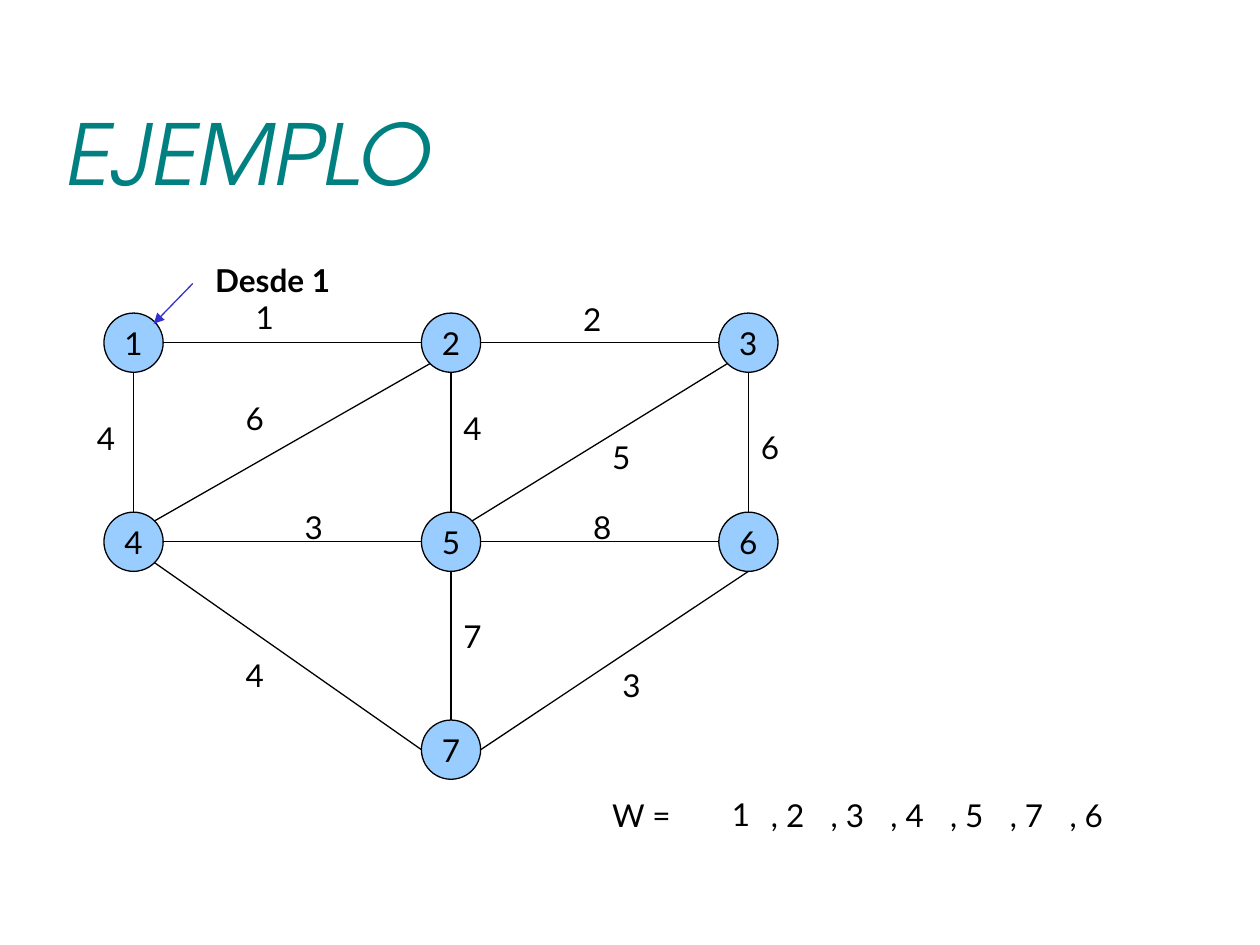
from lxml import etree
from pptx import Presentation
from pptx.dml.color import RGBColor
from pptx.enum.shapes import MSO_CONNECTOR, MSO_SHAPE
from pptx.enum.text import MSO_ANCHOR, PP_ALIGN
from pptx.oxml.ns import qn
from pptx.util import Inches, Pt


def write(shape, text, size=18, font="Lato", color="000000", bold=False,
          italic=False, align=PP_ALIGN.LEFT, anchor=MSO_ANCHOR.TOP, wrap=True):
    frame = shape.text_frame
    frame.word_wrap = wrap
    frame.vertical_anchor = anchor
    para = frame.paragraphs[0]
    para.alignment = align
    run = para.add_run()
    run.text = text
    run.font.size = Pt(size)
    run.font.name = font
    run.font.bold = bold
    run.font.italic = italic
    run.font.color.rgb = RGBColor.from_string(color)


def link(start, end, color="000000"):
    """Draw a thin straight line between two points and return it."""
    line = slide.shapes.add_connector(
        MSO_CONNECTOR.STRAIGHT, *[Inches(v) for v in (*start, *end)])
    line.line.color.rgb = RGBColor.from_string(color)
    line.line.width = Pt(0.75)
    etree.SubElement(line._element.spPr, qn("a:effectLst"))
    return line


deck = Presentation()
deck.slide_width = Inches(10)
deck.slide_height = Inches(7.5)
slide = deck.slides.add_slide(deck.slide_layouts[5])

title = slide.shapes.title
title.left, title.top = Inches(0.42), Inches(0.58)
title.width, title.height = Inches(9), Inches(1.25)
write(title, "EJEMPLO", size=48, font="TeX Gyre Adventor", color="008080",
      italic=True, anchor=MSO_ANCHOR.MIDDLE)

# Nodes: the centre of each circle
size = 0.47
cols = 1.06, 3.58, 5.94
rows = 2.72, 4.3, 5.95
nodes = {
    1: (cols[0], rows[0]), 2: (cols[1], rows[0]), 3: (cols[2], rows[0]),
    4: (cols[0], rows[1]), 5: (cols[1], rows[1]), 6: (cols[2], rows[1]),
    7: (cols[1], rows[2]),
}
for name, (x, y) in nodes.items():
    node = slide.shapes.add_shape(
        MSO_SHAPE.OVAL, Inches(x - size / 2), Inches(y - size / 2),
        Inches(size), Inches(size))
    node.shadow.inherit = False
    node.fill.solid()
    node.fill.fore_color.rgb = RGBColor.from_string("99CCFF")
    node.line.color.rgb = RGBColor.from_string("000000")
    node.line.width = Pt(0.75)
    write(node, str(name), align=PP_ALIGN.CENTER, anchor=MSO_ANCHOR.MIDDLE,
          wrap=False)

# Edges: node and side at both ends, weight, left and top of its label
sides = {"N": (0, -1), "S": (0, 1), "W": (-1, 0), "E": (1, 0),
         "NE": (0.7, -0.7), "SW": (-0.7, 0.7), "SE": (0.7, 0.7)}
edges = [
    (1, "E", 2, "W", 1, 1.93, 2.32),
    (2, "E", 3, "W", 2, 4.53, 2.33),
    (4, "E", 5, "W", 3, 2.32, 3.98),
    (5, "E", 6, "W", 8, 4.61, 3.98),
    (1, "S", 4, "N", 4, 0.67, 3.28),
    (2, "S", 5, "N", 4, 3.58, 3.2),
    (3, "S", 6, "N", 6, 5.94, 3.35),
    (2, "SW", 4, "NE", 6, 1.85, 3.12),
    (3, "SW", 5, "NE", 5, 4.76, 3.43),
    (6, "S", 7, "E", 3, 4.84, 5.24),
    (4, "SE", 7, "W", 4, 1.85, 5.16),
    (5, "S", 7, "N", 7, 3.58, 4.85),
]
labels = []
for first, out, last, into, weight, left, top in edges:
    ends = [[c + d * size / 2 for c, d in zip(nodes[n], sides[s])]
            for n, s in ((first, out), (last, into))]
    link(*ends)
    labels.append((str(weight), left, top, 0.55))

# Visit order along the bottom
labels += [("W =", 4.76, 6.27, 0.87), ("1", 5.71, 6.26, 0.47)]
for i, name in enumerate((2, 3, 4, 5, 7, 6)):
    labels.append((f", {name}", 6.02 + i * 0.474, 6.27, 0.63))
labels.append(("Desde 1", 1.61, 2.02, 1.57))

for text, left, top, width in labels:
    box = slide.shapes.add_textbox(
        Inches(left), Inches(top), Inches(width), Inches(0.4))
    write(box, text, bold=text.startswith("Desde"))

arrow = link((1.53, 2.25), (1.22, 2.57), color="3333CC")
etree.SubElement(arrow.line._get_or_add_ln(), qn("a:tailEnd"), type="triangle")

deck.save("out.pptx")
